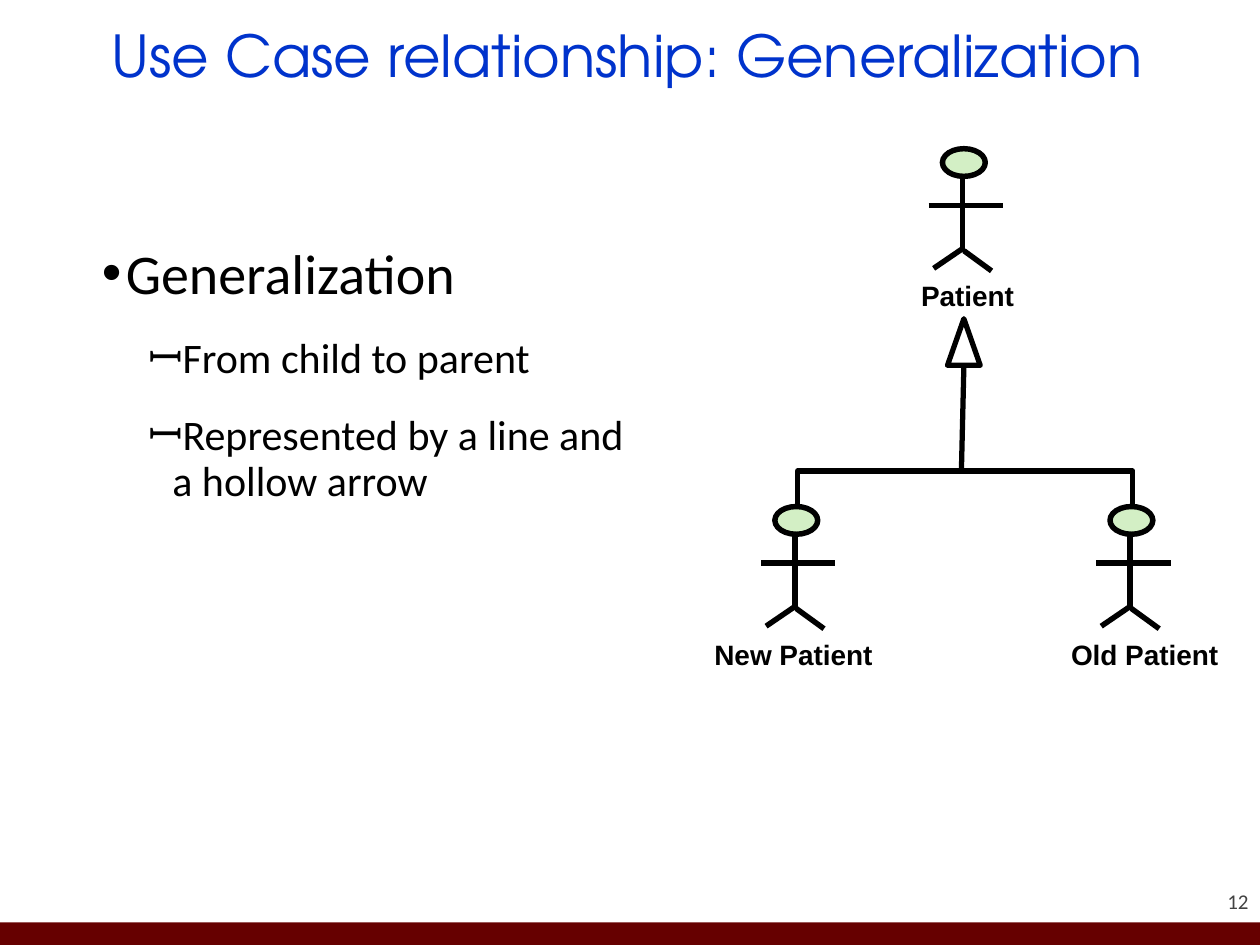
from lxml.etree import SubElement
from pptx import Presentation
from pptx.dml.color import RGBColor
from pptx.enum.shapes import MSO_CONNECTOR, MSO_SHAPE
from pptx.enum.text import MSO_ANCHOR, PP_ALIGN
from pptx.oxml.ns import qn
from pptx.util import Inches, Pt

BLACK = RGBColor(0x00, 0x00, 0x00)
BLUE = RGBColor(0x00, 0x33, 0xCC)
MAROON = RGBColor(0x66, 0x00, 0x00)
GREEN = RGBColor(0xD3, 0xEF, 0xC5)
GRAY = RGBColor(0x42, 0x42, 0x42)
COLS, ROWS = 10, 7.5


class Deck:
    """Draws on one slide; places are in columns and rows of a 10 by 7.5 grid."""

    def __init__(self):
        self.prs = Presentation()
        self.prs.slide_width = Inches(COLS)
        self.prs.slide_height = Inches(ROWS)
        self.slide = self.prs.slides.add_slide(self.prs.slide_layouts[6])
        self.col = self.prs.slide_width / COLS
        self.row = self.prs.slide_height / ROWS

    def place(self, x, y, w, h):
        return (round(x * self.col), round(y * self.row),
                round(w * self.col), round(h * self.row))

    def shape(self, kind, box, fill=None, width=0, home=None):
        item = (home or self.slide).shapes.add_shape(kind, *self.place(*box))
        item.shadow.inherit = False
        if fill is None:
            item.fill.background()
        else:
            item.fill.solid()
            item.fill.fore_color.rgb = fill
        if width:
            item.line.color.rgb = BLACK
            item.line.width = Pt(width)
        else:
            item.line.fill.background()
        return item

    def line(self, start, end, width=3, home=None, kind=MSO_CONNECTOR.STRAIGHT):
        ends = self.place(*start, *end)
        item = (home or self.slide).shapes.add_connector(kind, *ends)
        item.line.color.rgb = BLACK
        item.line.width = Pt(width)
        SubElement(item._element.spPr, qn("a:effectLst"))
        return item

    def fork(self, mid, y, span, rise):
        """Elbow line that rises from two points, span apart, and joins above."""
        thin = 0.01
        left, top = mid - thin / 2, y - span / 2
        item = self.line((left, top), (left + thin, top + span),
                         kind=MSO_CONNECTOR.ELBOW)
        props = item._element.spPr
        frame = props.find(qn("a:xfrm"))
        for key, value in (("rot", "5400000"), ("flipH", "1"), ("flipV", "1")):
            frame.set(key, value)
        guides = props.find(qn("a:prstGeom")).get_or_add_avLst()
        SubElement(guides, qn("a:gd"), name="adj1",
                   fmla=f"val {round(rise / thin * 100000)}")

    def box(self, place, anchor=MSO_ANCHOR.TOP, inset=True, wrap=True, home=None):
        item = (home or self.slide).shapes.add_textbox(*self.place(*place))
        frame = item.text_frame
        frame.word_wrap = wrap
        frame.vertical_anchor = anchor
        if not inset:
            frame.margin_left = frame.margin_right = 0
            frame.margin_top = frame.margin_bottom = 0
        return frame

    def run(self, para, text, size, font, color=BLACK, bold=False):
        run = para.add_run()
        run.text = text
        run.font.size = Pt(size)
        run.font.name = font
        run.font.color.rgb = color
        run.font.bold = bold

    def title(self, text):
        para = self.box((0.67, 0, 8.62, 0.94), MSO_ANCHOR.MIDDLE).paragraphs[0]
        para.alignment = PP_ALIGN.CENTER
        para.line_spacing = 0.9
        self.run(para, text, 33, "TeX Gyre Adventor", BLUE)

    def bullets(self, place, items):
        frame = self.box(place)
        for i, (level, text) in enumerate(items):
            para = frame.add_paragraph() if i else frame.paragraphs[0]
            mark, size, indent = (("•", 32, 0.19), ("ꟷ", 24, 0.56))[level]
            props = para._p.get_or_add_pPr()
            props.set("marL", str(Inches(indent)))
            props.set("indent", str(Inches(-0.19)))
            SubElement(props, qn("a:buFont"), typeface="Arial")
            SubElement(props, qn("a:buChar"), char=mark)
            para.level = level
            para.line_spacing = 0.9
            para.space_after = Pt(12)
            if i:
                para.space_before = Pt(6)
            self.run(para, text, size, "Calibri")

    def actor(self, x, y, name, label):
        """Stick figure with the middle of its head top at x, y; label is its place."""
        group = self.slide.shapes.add_group_shape()
        limbs = (
            ((-0.01, 0.22), (-0.01, 0.82)),
            ((-0.28, 0.45), (0.31, 0.45)),
            ((-0.02, 0.8), (-0.24, 0.95)),
            ((0, 0.81), (0.22, 0.97)),
        )
        for (ax, ay), (bx, by) in limbs:
            self.line((x + ax, y + ay), (x + bx, y + by), 3.13, group)
        self.shape(MSO_SHAPE.OVAL, (x - 0.17, y, 0.34, 0.22), GREEN, 3.13, group)
        frame = self.box(label, inset=False, wrap=False, home=group)
        self.run(frame.paragraphs[0], name, 16, "Arial", bold=True)

    def footer(self, number):
        self.shape(MSO_SHAPE.RECTANGLE, (0, 7.32, COLS, 0.18), MAROON)
        frame = self.box((9.08, 6.85, 0.83, 0.4), MSO_ANCHOR.BOTTOM, inset=False)
        para = frame.paragraphs[0]
        para.alignment = PP_ALIGN.RIGHT
        self.run(para, number, 12, "Calibri", GRAY)


def main():
    deck = Deck()
    deck.footer("12")
    deck.title("Use Case relationship: Generalization")
    deck.bullets((0.71, 1.9, 4.45, 4.68), (
        (0, "Generalization"),
        (1, "From child to parent"),
        (1, "Represented by a line and a hollow arrow"),
    ))

    mid, half, child = 7.65, 1.33, 4.02
    deck.actor(mid, 1.18, "Patient", (7.31, 2.21, 0.75, 0.27))
    deck.actor(mid + half, child, "Old Patient", (8.5, 5.06, 1.19, 0.27))
    deck.actor(mid - half, child, "New Patient", (5.67, 5.06, 1.27, 0.27))
    deck.fork(mid + 0.01, child, 2 * half, 0.29)
    deck.shape(MSO_SHAPE.ISOSCELES_TRIANGLE, (mid - 0.13, 2.53, 0.26, 0.37), width=3)
    deck.line((mid, 2.9), (mid - 0.02, 3.75))
    deck.prs.save("out.pptx")


if __name__ == "__main__":
    main()
